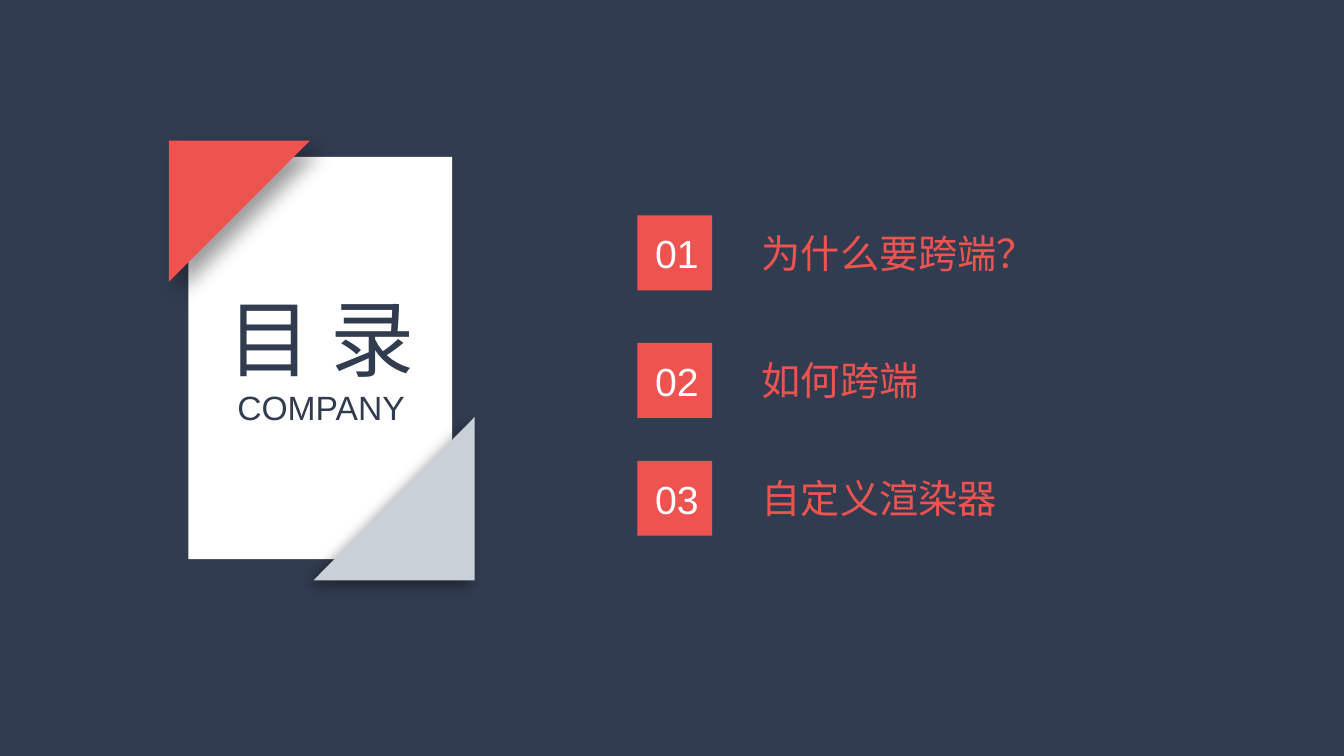
from dataclasses import dataclass

from lxml import etree
from pptx import Presentation
from pptx import util as u
from pptx.dml.color import RGBColor
from pptx.enum import shapes, text
from pptx.oxml.ns import qn
from pptx.shapes.autoshape import Shape
from pptx.slide import Slide

Pt = u.Pt


@dataclass(frozen=True)
class Theme:
    navy: str = "323C50"
    red: str = "EF5350"
    grey: str = "CAD0D8"
    white: str = "FFFFFF"
    shadow: str = "000000"
    font: str = "Arial"
    heading_size: float = 60
    subtitle_size: float = 24
    entry_size: float = 28


@dataclass(frozen=True)
class Box:
    left: float
    top: float
    width: float
    height: float

    def lengths(self) -> list[u.Length]:
        return [Pt(v) for v in (self.left, self.top, self.width, self.height)]


@dataclass(frozen=True)
class Corner:
    box: Box
    color: str
    flip: str
    blur: float
    distance: float
    angle: int


@dataclass(frozen=True)
class Entry:
    number: str
    topic: str
    top: float


THEME = Theme()
CARD = Box(134.5, 112, 188.5, 287.5)
HEADING = Box(152.6, 200.9, 153.4, 108.7)
RED_CORNER = Corner(Box(120.7, 100.5, 100.8, 100.8), THEME.red, "flipV", 15, 10, 45)
GREY_CORNER = Corner(Box(224, 298, 115, 116.5), THEME.grey, "flipH", 10, 5, 135)
ENTRIES = [
    Entry("01", "为什么要跨端？", 153.9),
    Entry("02", "如何跨端", 245),
    Entry("03", "自定义渲染器", 329.2),
]
BADGE_LEFT, BADGE_SIDE = 455.2, 53.5
TOPIC_LEFT, TOPIC_WIDTH, TOPIC_HEIGHT = 537.1, 212.4, 41.2


def add_block(slide: Slide, kind: shapes.MSO_SHAPE, box: Box, color: str) -> Shape:
    block = slide.shapes.add_shape(kind, *box.lengths())
    block.shadow.inherit = False
    block.fill.solid()
    block.fill.fore_color.rgb = RGBColor.from_string(color)
    block.line.fill.background()
    return block


def add_corner(slide: Slide, corner: Corner) -> None:
    triangle = add_block(slide, shapes.MSO_SHAPE.RIGHT_TRIANGLE, corner.box, corner.color)
    properties = triangle._element.spPr
    properties.find(qn("a:xfrm")).set(corner.flip, "1")
    # Soft outer shadow
    shadow = etree.SubElement(
        properties.find(qn("a:effectLst")), qn("a:outerShdw"),
        blurRad=str(int(Pt(corner.blur))), dist=str(int(Pt(corner.distance))),
        dir=str(corner.angle * 60000), algn="ctr", rotWithShape="0")
    tint = etree.SubElement(shadow, qn("a:srgbClr"), val=THEME.shadow)
    etree.SubElement(tint, qn("a:alpha"), val="40000")


def write(shape: Shape, lines: list[tuple[str, float]], color: str,
          align: text.PP_ALIGN, **frame_format: object) -> None:
    frame = shape.text_frame
    frame.text = "\n".join(line for line, _ in lines)
    for name, value in frame_format.items():
        setattr(frame, name, value)
    for paragraph, (_, size) in zip(frame.paragraphs, lines):
        paragraph.alignment = align
        paragraph.font.color.rgb = RGBColor.from_string(color)
        for run in paragraph.runs:
            for name, value in {"name": THEME.font, "size": Pt(size)}.items():
                setattr(run.font, name, value)
            run.font.color.rgb = RGBColor.from_string(color)


def add_entry(slide: Slide, entry: Entry) -> None:
    badge = add_block(slide, shapes.MSO_SHAPE.RECTANGLE,
                      Box(BADGE_LEFT, entry.top, BADGE_SIDE, BADGE_SIDE), THEME.red)
    write(badge, [(entry.number, THEME.entry_size)], THEME.white, text.PP_ALIGN.CENTER,
          word_wrap=False, vertical_anchor=text.MSO_ANCHOR.MIDDLE,
          margin_left=Pt(3), margin_right=Pt(0))
    topic_top = entry.top + (BADGE_SIDE - TOPIC_HEIGHT) / 2
    topic = slide.shapes.add_textbox(
        *Box(TOPIC_LEFT, topic_top, TOPIC_WIDTH, TOPIC_HEIGHT).lengths())
    write(topic, [(entry.topic, THEME.entry_size)], THEME.red, text.PP_ALIGN.LEFT,
          word_wrap=True, auto_size=text.MSO_AUTO_SIZE.SHAPE_TO_FIT_TEXT)


def main() -> None:
    deck = Presentation()
    deck.slide_width, deck.slide_height = Pt(960), Pt(540)
    slide = deck.slides.add_slide(deck.slide_layouts[5])
    slide.background.fill.solid()
    slide.background.fill.fore_color.rgb = RGBColor.from_string(THEME.navy)

    # Card with its folded corners
    add_block(slide, shapes.MSO_SHAPE.RECTANGLE, CARD, THEME.white)
    add_corner(slide, RED_CORNER)
    add_corner(slide, GREY_CORNER)

    # Heading, brought in front of the card
    heading = slide.shapes.title
    for name, value in zip(("left", "top", "width", "height"), HEADING.lengths()):
        setattr(heading, name, value)
    write(heading, [("目 录", THEME.heading_size), ("COMPANY", THEME.subtitle_size)],
          THEME.navy, text.PP_ALIGN.CENTER, word_wrap=False,
          vertical_anchor=text.MSO_ANCHOR.TOP,
          auto_size=text.MSO_AUTO_SIZE.SHAPE_TO_FIT_TEXT)
    slide.shapes._spTree.append(heading._element)

    # Contents list
    for entry in ENTRIES:
        add_entry(slide, entry)

    deck.save("out.pptx")


if __name__ == "__main__":
    main()
